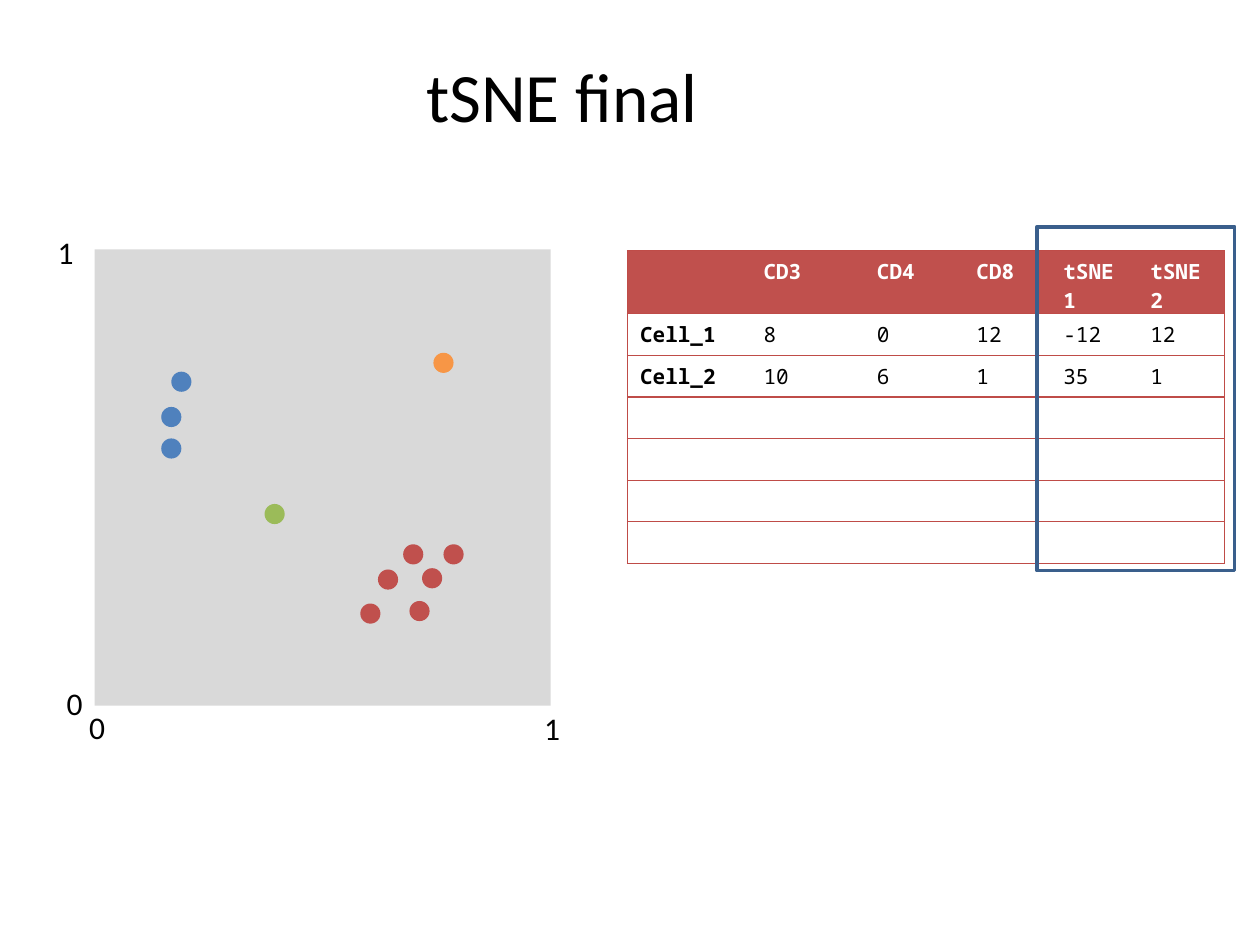
from lxml import etree
from pptx import Presentation, util as u
from pptx.dml.color import RGBColor
from pptx.enum import shapes, text
from pptx.oxml.ns import qn

BLACK = RGBColor(0, 0, 0)
WHITE = RGBColor(255, 255, 255)
GREY = RGBColor(0xD9, 0xD9, 0xD9)
RED = RGBColor(0xC0, 0x50, 0x4D)
BLUE = RGBColor(0x4F, 0x81, 0xBD)
GREEN = RGBColor(0x9B, 0xBB, 0x59)
ORANGE = RGBColor(0xF7, 0x96, 0x46)
EDGE = RGBColor(0xBF, 0x4C, 0x48)
NAVY = RGBColor(0x3A, 0x5F, 0x8C)

DOT = 0.16
DOTS = {
    RED: [(2.58, 0.75), (2.33, 1.0), (2.85, 1.2),
          (2.53, 1.2), (2.19, 0.73), (2.68, 1.01)],
    BLUE: [(0.69, 2.57), (0.61, 2.04), (0.61, 2.29)],
    GREEN: [(1.43, 1.52)],
    ORANGE: [(2.77, 2.72)],
}
TICKS = [("1", -0.39, -0.18), ("0", -0.32, 3.4),
         ("1", 3.47, 3.6), ("0", -0.14, 3.59)]

COLS = [0.98, 0.9, 0.79, 0.69, 0.69, 0.69]
ROWS = 7
ROW = 0.33
DATA = [
    ["", "CD3", "CD4", "CD8", "tSNE1", "tSNE2"],
    ["Cell_1", "8", "0", "12", "-12", "12"],
    ["Cell_2", "10", "6", "1", "35", "1"],
]


def style(part, size, face, color, bold=False):
    font = part.font
    font.size, font.name, font.bold = u.Pt(size), face, bold
    font.color.rgb = color


def add_box(slide, kind, box, fill=None, line=None):
    shape = slide.shapes.add_shape(kind, *map(u.Inches, box))
    shape.shadow.inherit = False
    if fill is None:
        shape.fill.background()
    else:
        shape.fill.solid()
        shape.fill.fore_color.rgb = fill
    if line is None:
        shape.line.fill.background()
    else:
        shape.line.color.rgb = line
        shape.line.width = u.Pt(2)


def add_title(slide, box):
    title = slide.shapes.title
    title.left, title.top, title.width, title.height = map(u.Inches, box)
    frame = title.text_frame
    frame.text = "tSNE final"
    frame.vertical_anchor = text.MSO_ANCHOR.MIDDLE
    para = frame.paragraphs[0]
    para.alignment = text.PP_ALIGN.CENTER
    style(para, 39.6, "Calibri", BLACK)


def add_plot(slide, left, top, side):
    add_box(slide, shapes.MSO_SHAPE.RECTANGLE, (left, top, side, side), GREY)
    for label, x, y in TICKS:
        box = (left + x, top + y, 0.33, 0.4)
        frame = slide.shapes.add_textbox(*map(u.Inches, box)).text_frame
        frame.word_wrap = False
        frame.text = label
        style(frame.paragraphs[0], 18, "Calibri", BLACK)
    for color, spots in DOTS.items():
        for x, y in spots:
            box = (left + x - DOT / 2, top + side - y - DOT / 2, DOT, DOT)
            add_box(slide, shapes.MSO_SHAPE.OVAL, box, color)


def set_edge(cell, side, shown):
    line = etree.SubElement(cell._tc.get_or_add_tcPr(), qn("a:ln" + side),
                            w=str(u.Pt(0.75)))
    if shown:
        fill = etree.SubElement(line, qn("a:solidFill"))
        etree.SubElement(fill, qn("a:srgbClr"), val=str(EDGE))
    else:
        etree.SubElement(line, qn("a:noFill"))


def fill_cell(cell, row, col):
    edges = {"L": col == 0, "R": col == len(COLS) - 1, "T": True, "B": True}
    for side, shown in edges.items():
        set_edge(cell, side, shown)
    head = row == 0
    if head:
        cell.fill.solid()
        cell.fill.fore_color.rgb = RED
    else:
        cell.fill.background()
    para = cell.text_frame.paragraphs[0]
    words = DATA[row][col] if row < len(DATA) else ""
    if words:
        run = para.add_run()
        run.text = words
        style(run, 12, "Noto Sans Mono", WHITE if head else BLACK,
              head or col == 0)
    else:
        etree.SubElement(para._p, qn("a:endParaRPr"), sz="1200")


def add_grid(slide, left, top):
    box = (left, top, sum(COLS), ROWS * ROW)
    table = slide.shapes.add_table(ROWS, len(COLS),
                                   *map(u.Inches, box)).table
    table.first_row = table.horz_banding = False
    for col, width in enumerate(COLS):
        table.columns[col].width = u.Inches(width)
    for row in range(ROWS):
        table.rows[row].height = u.Inches(ROW)
        for col in range(len(COLS)):
            fill_cell(table.cell(row, col), row, col)
    frame = (left + sum(COLS[:4]) - 0.11, top - 0.19, 1.57, 2.73)
    add_box(slide, shapes.MSO_SHAPE.RECTANGLE, frame, line=NAVY)


def main():
    deck = Presentation()
    deck.slide_width, deck.slide_height = u.Inches(10), u.Inches(7.5)
    slide = deck.slides.add_slide(deck.slide_layouts[5])
    add_title(slide, (0.25, 0.5, 8.42, 0.5))
    add_plot(slide, 0.75, 1.98, 3.62)
    add_grid(slide, 4.98, 1.99)
    deck.save("out.pptx")


if __name__ == "__main__":
    main()
